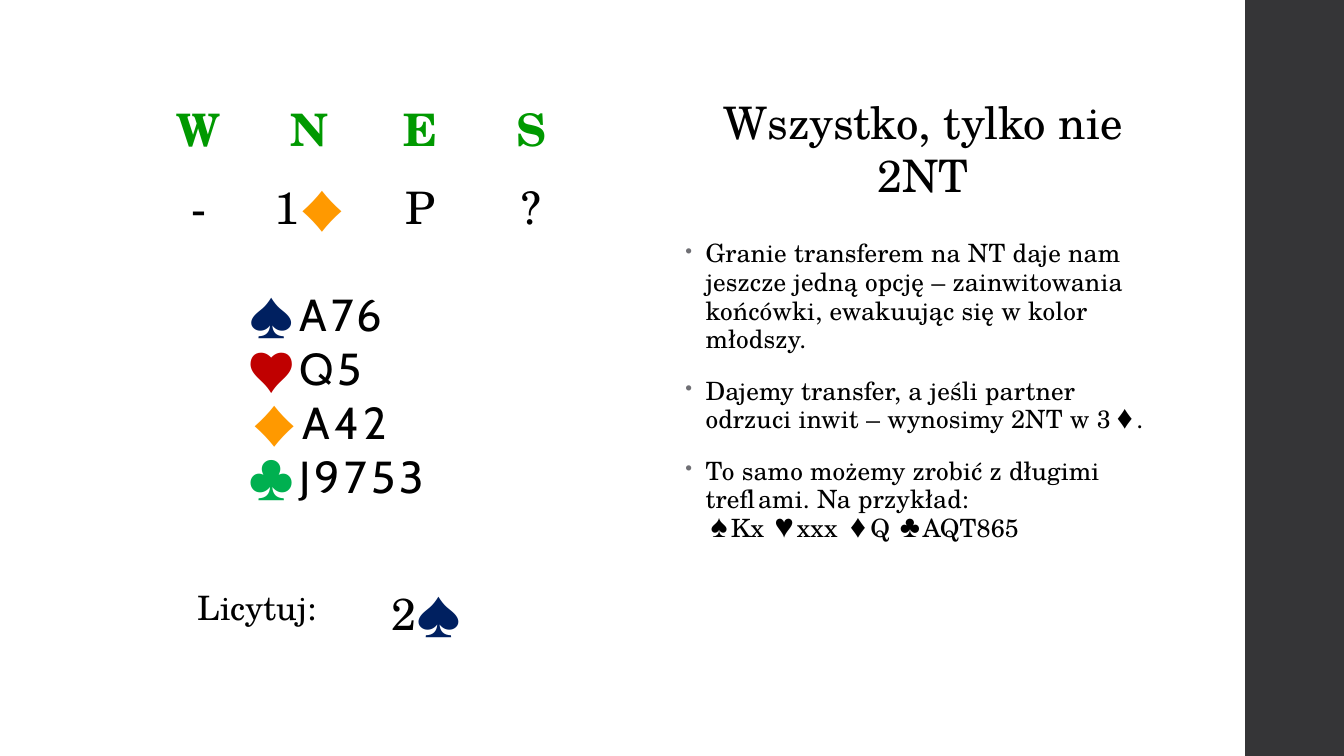
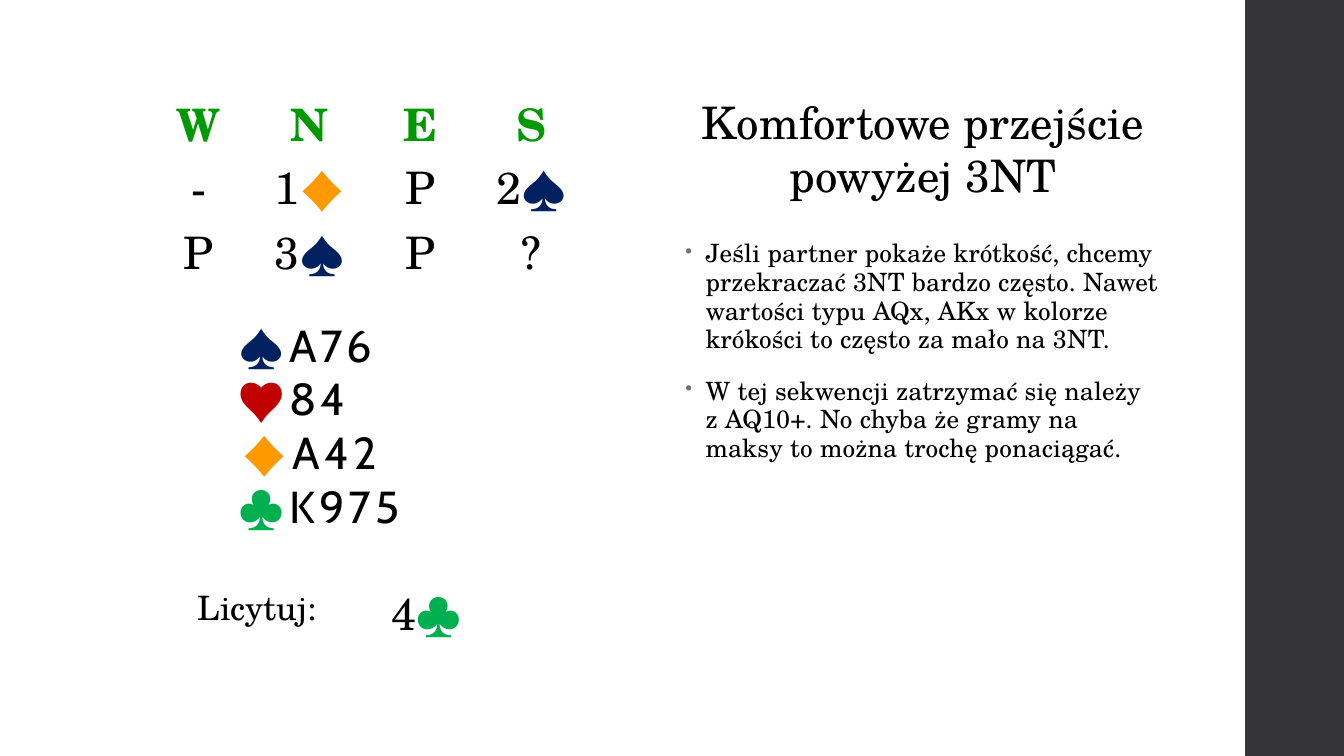
from lxml import etree
from pptx import Presentation
from pptx import util as u
from pptx.dml.color import RGBColor
from pptx.enum import shapes, text
from pptx.oxml import ns

COLORS = {"band": "353537", "seat": "009900", "text": "000000", "bullet": "6F6F74",
          "♠": "002060", "♥": "C00000", "♦": "FF9900", "♣": "00B050"}
SERIF = {"name": "TeX Gyre Schola", "size": u.Pt(32), "bold": False}
SANS = {"name": "Cabin", "size": u.Pt(32), "bold": False}
TABLE_FLAGS = {"first_row": False, "horz_banding": False}
BODY_SPACING = {"line_spacing": 0.95, "space_after": u.Pt(2)}

SLIDES = [
    {"title": "Wszystko, tylko nie 2NT",
     "auction": ["WNES", ["-", "1♦", "P", "?"]], "auction_top": 0.88,
     "hand": ["♠A76", "♥Q5", "♦A42", "♣J9753"], "hand_at": (1.87, 2.8),
     "answer": "2♠",
     "body": ["Granie transferem na NT daje nam jeszcze jedną opcję – zainwitowania "
              "końcówki, ewakuując się w kolor młodszy.",
              "Dajemy transfer, a jeśli partner odrzuci inwit – wynosimy 2NT w 3♦.",
              "To samo możemy zrobić z długimi treflami. Na przykład:\n"
              "♠Kx ♥xxx ♦Q ♣AQT865"]},
    {"title": "Komfortowe przejście powyżej 3NT",
     "auction": ["WNES", ["-", "1♦", "P", "2♠"], ["P", "3♠", "P", "?"]],
     "auction_top": 0.83,
     "hand": ["♠A76", "♥84", "♦A42", "♣K975"], "hand_at": (1.77, 3.1),
     "answer": "4♣",
     "body": ["Jeśli partner pokaże krótkość, chcemy przekraczać 3NT bardzo często. "
              "Nawet wartości typu AQx, AKx w kolorze krókości to często za mało na 3NT.",
              "W tej sekwencji zatrzymać się należy z AQ10+. No chyba że gramy na maksy "
              "to można trochę ponaciągać."]},
]


def add_run(p, words, font, color="text", spacing=0):
    r = p.add_run()
    r.text = words
    for key, value in font.items():
        setattr(r.font, key, value)
    r.font.color.rgb = RGBColor.from_string(COLORS[color])
    r._r.get_or_add_rPr().set("spc", str(int(spacing * 100)))


def add_grid(s, rows, left, top, widths, heights):
    box = [u.Inches(n) for n in (left, top, sum(widths), sum(heights))]
    table = s.shapes.add_table(len(rows), len(widths), *box).table
    for key, value in TABLE_FLAGS.items():
        setattr(table, key, value)
    for col, width in zip(table.columns, widths):
        col.width = u.Inches(width)
    for row, height, entries in zip(table.rows, heights, rows):
        row.height = u.Inches(height)
        for cell, entry in zip(row.cells, entries):
            cell.fill.background()
            cell.vertical_anchor = text.MSO_ANCHOR.MIDDLE
            p = cell.text_frame.paragraphs[0]
            p.alignment = text.PP_ALIGN.CENTER
            for mark in entry if entry[-1] in COLORS else [entry]:
                if mark in COLORS:
                    add_run(p, mark, SANS, mark, 3)
                elif mark in list("WNES"):
                    add_run(p, mark, SERIF | {"bold": True}, "seat")
                else:
                    add_run(p, mark, SERIF)
    return table


prs = Presentation()
prs.slide_width, prs.slide_height = u.Inches(13.33), u.Inches(7.5)

for spec_row in SLIDES:
    s = prs.slides.add_slide(prs.slide_layouts[6])

    band = s.shapes.add_shape(shapes.MSO_SHAPE.RECTANGLE, u.Inches(12.35), 0,
                              u.Inches(0.98), u.Inches(7.5))
    band.shadow.inherit = False
    band.fill.solid()
    band.fill.fore_color.rgb = RGBColor.from_string(COLORS["band"])
    band.line.fill.background()

    auction = spec_row["auction"]
    add_grid(s, auction, 1.42, spec_row["auction_top"], [1.1] * 4,
             [0.64] + [0.65] * (len(auction) - 1))

    sp = s.shapes.add_textbox(u.Inches(6.7), u.Inches(0.88), u.Inches(4.91), u.Inches(1.18))
    tf = sp.text_frame
    tf.word_wrap = True
    tf.vertical_anchor = text.MSO_ANCHOR.MIDDLE
    p = tf.paragraphs[0]
    p.alignment = text.PP_ALIGN.CENTER
    add_run(p, spec_row["title"], SERIF)

    sp = s.shapes.add_textbox(u.Inches(6.7), u.Inches(2.33), u.Inches(4.9), u.Inches(4.51))
    tf = sp.text_frame
    tf.word_wrap = True
    for i, item in enumerate(spec_row["body"]):
        p = tf.add_paragraph() if i else tf.paragraphs[0]
        for key, value in BODY_SPACING.items():
            setattr(p, key, value)
        p.space_before = u.Pt(14 if i else 0)
        pPr = p._p.get_or_add_pPr()
        pPr.set("marL", str(u.Inches(0.2)))
        pPr.set("indent", str(-u.Inches(0.2)))
        color = etree.SubElement(pPr, ns.qn("a:buClr"))
        etree.SubElement(color, ns.qn("a:srgbClr"), val=COLORS["bullet"])
        etree.SubElement(pPr, ns.qn("a:buSzPct"), val="80000")
        etree.SubElement(pPr, ns.qn("a:buChar"), char="•")
        for j, line in enumerate(item.split("\n")):
            if j:
                p.add_line_break()
            add_run(p, line, SERIF | {"size": u.Pt(18)}, spacing=0.1)

    left, top = spec_row["hand_at"]
    sp = s.shapes.add_textbox(u.Inches(left), u.Inches(top), u.Inches(3.49), u.Inches(2.26))
    tf = sp.text_frame
    tf.word_wrap = True
    for i, (suit, *cards) in enumerate(spec_row["hand"]):
        p = tf.add_paragraph() if i else tf.paragraphs[0]
        pPr = p._p.get_or_add_pPr()
        pPr.set("marL", str(u.Inches(0.03 if suit == "♦" else 0)))
        pPr.set("indent", "0")
        tabs = etree.SubElement(pPr, ns.qn("a:tabLst"))
        for pos, side in ((0.5, "r"), (0.7, "l")):
            etree.SubElement(tabs, ns.qn("a:tab"), pos=str(u.Inches(pos)), algn=side)
        add_run(p, "\t" + suit + "\t", SANS, suit, 3)
        add_run(p, "".join(cards), SANS, spacing=3)

    table = add_grid(s, [["Licytuj:", spec_row["answer"]]], 1.32, 5.7, [2.46, 1.58], [0.63])
    table.cell(0, 0).text_frame.paragraphs[0].runs[0].font.size = u.Pt(24)
    table.cell(0, 1).text_frame.paragraphs[0].alignment = text.PP_ALIGN.LEFT

prs.save("out.pptx")
